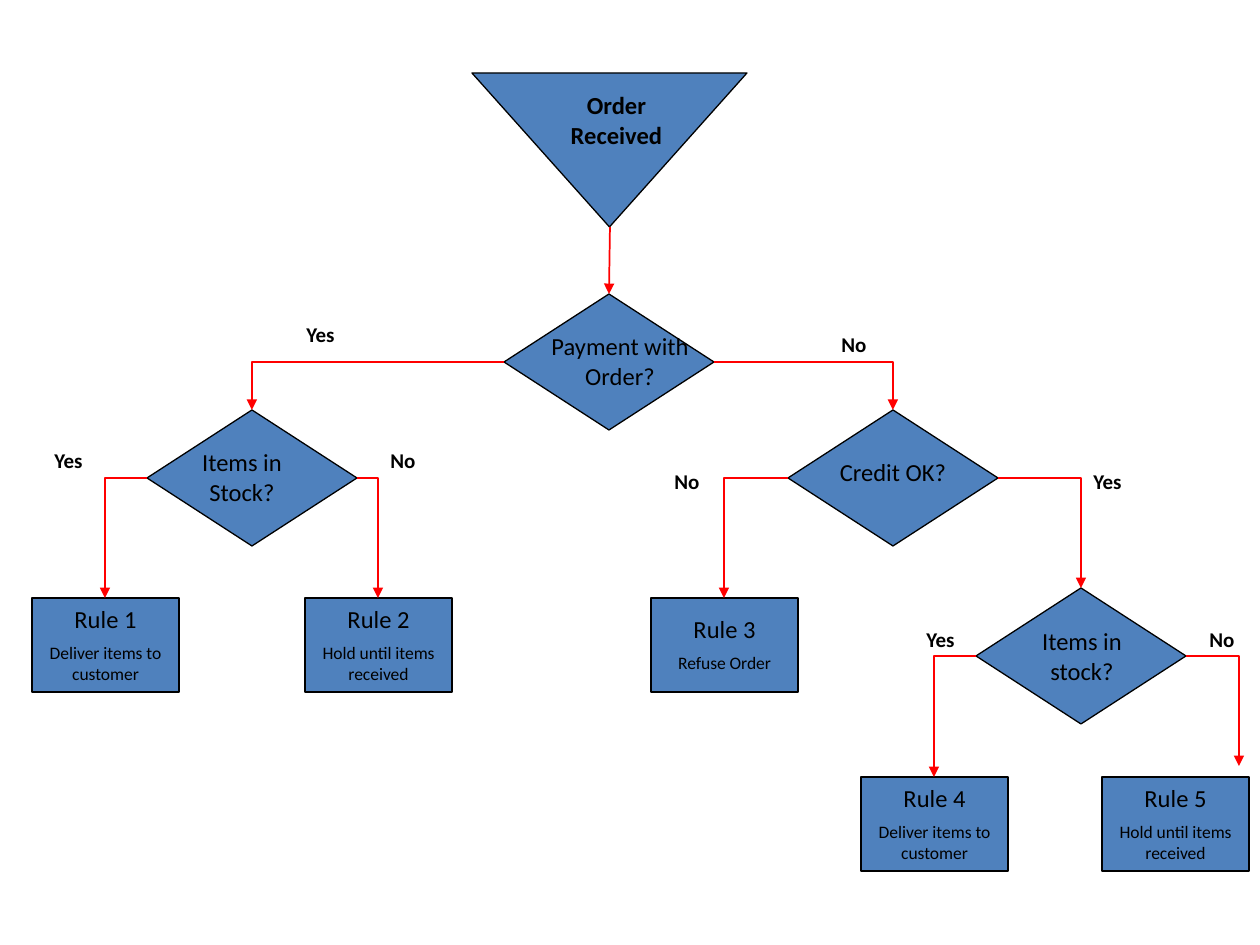
"""Builds a decision-tree slide for handling an incoming order."""
from dataclasses import dataclass

from lxml import etree
from pptx import Presentation
from pptx import util as u
from pptx.dml.color import RGBColor
from pptx.enum import shapes, text
from pptx.oxml import ns

PX_PER_INCH = 126
DIAMOND_W, DIAMOND_H = 210, 136
RULE_W, RULE_H = 147, 94
NODE_TEXT_W, LABEL_W = 168, 63


@dataclass(frozen=True)
class Theme:
    """Colours, font and type sizes of the slide."""
    fill: RGBColor = RGBColor(0x4F, 0x81, 0xBD)
    ink: RGBColor = RGBColor(0, 0, 0)
    arrow: RGBColor = RGBColor(0xFF, 0, 0)
    font: str = "Calibri"
    heading: int = 14
    label: int = 12
    detail: int = 10
    outline: float = 0.75
    arrow_width: float = 1


@dataclass(frozen=True)
class Decision:
    """A diamond with its question."""
    x: int
    y: int
    question: str
    text_x: int
    text_y: int
    text_h: int = 72


@dataclass(frozen=True)
class Rule:
    """An outcome box with its name and action."""
    x: int
    y: int
    name: str
    action: str
    text_dy: int = 0


@dataclass(frozen=True)
class Arrow:
    """An arrow between two points, straight or with one bend."""
    x1: int
    y1: int
    x2: int
    y2: int
    bent: bool = True


@dataclass(frozen=True)
class Label:
    """An answer beside a branch."""
    x: int
    y: int
    answer: str


THEME = Theme()
DECISIONS = [
    Decision(504, 294, "Payment with Order?", 536, 325),
    Decision(788, 410, "Credit OK?", 809, 451, 42),
    Decision(147, 410, "Items in Stock?", 158, 441),
    Decision(976, 588, "Items in stock?", 998, 620),
]
RULES = [
    Rule(32, 598, "Rule 1", "Deliver items to customer"),
    Rule(305, 598, "Rule 2", "Hold until items received"),
    Rule(651, 598, "Rule 3", "Refuse Order", 10),
    Rule(861, 777, "Rule 4", "Deliver items to customer"),
    Rule(1102, 777, "Rule 5", "Hold until items received"),
]
ARROWS = [
    Arrow(610, 227, 609, 294, bent=False),
    Arrow(504, 362, 252, 410),
    Arrow(714, 362, 893, 410),
    Arrow(147, 478, 105, 598),
    Arrow(357, 478, 378, 598),
    Arrow(788, 478, 724, 598),
    Arrow(998, 478, 1081, 588),
    Arrow(976, 656, 934, 777),
    Arrow(1186, 656, 1239, 766),
]
LABELS = [
    Label(294, 315, "Yes"),
    Label(829, 325, "No"),
    Label(42, 441, "Yes"),
    Label(378, 441, "No"),
    Label(662, 462, "No"),
    Label(1081, 462, "Yes"),
    Label(914, 620, "Yes"),
    Label(1197, 620, "No"),
]


def px(n: float) -> u.Emu:
    """Turns picture pixels into EMU."""
    return u.Emu(round(n * 914400 / PX_PER_INCH))


def add_node(s, kind, x: int, y: int, w: int, h: int) -> None:
    """Draws a filled and outlined flowchart shape."""
    sp = s.shapes.add_shape(kind, px(x), px(y), px(w), px(h))
    sp.shadow.inherit = False
    sp.fill.solid()
    sp.fill.fore_color.rgb = THEME.fill
    sp.line.color.rgb = THEME.ink
    sp.line.width = u.Pt(THEME.outline)


def add_text(s, x: float, y: int, w: int, h: int, lines: list[tuple[str, int]],
             bold: bool = False, centred: bool = True) -> None:
    """Writes paragraphs, each with its own size, in a text box."""
    tf = s.shapes.add_textbox(px(x), px(y), px(w), px(h)).text_frame
    tf.word_wrap = True
    for i, (line, size) in enumerate(lines):
        p = tf.add_paragraph() if i else tf.paragraphs[0]
        p.text = line
        p.alignment = text.PP_ALIGN.CENTER if centred else text.PP_ALIGN.LEFT
        p.space_before = u.Pt(size / 2 if i else 0)
        p.font.name = THEME.font
        p.font.size = u.Pt(size)
        p.font.bold = bold
        p.font.color.rgb = THEME.ink


def add_arrow(s, a: Arrow) -> None:
    """Draws an arrow that runs sideways and then down, or straight."""
    kind = shapes.MSO_CONNECTOR.ELBOW if a.bent else shapes.MSO_CONNECTOR.STRAIGHT
    c = s.shapes.add_connector(kind, px(a.x1), px(a.y1), px(a.x2), px(a.y2))
    c.line.color.rgb = THEME.arrow
    c.line.width = u.Pt(THEME.arrow_width)
    sp_pr = c.element.spPr
    if a.bent:
        sp_pr.find(ns.qn("a:prstGeom")).set("prst", "bentConnector2")
    etree.SubElement(c.line._get_or_add_ln(), ns.qn("a:tailEnd"), type="triangle")
    etree.SubElement(sp_pr, ns.qn("a:effectLst"))


def main() -> None:
    """Builds and saves the slide."""
    prs = Presentation()
    prs.slide_width, prs.slide_height = u.Inches(10), u.Inches(7.5)
    s = prs.slides.add_slide(prs.slide_layouts[6])
    kinds = shapes.MSO_SHAPE

    add_node(s, kinds.FLOWCHART_MERGE, 472, 73, 275, 154)
    add_text(s, 535, 84, 163, 72, [("Order Received", THEME.heading)], bold=True)
    for d in DECISIONS:
        add_node(s, kinds.FLOWCHART_DECISION, d.x, d.y, DIAMOND_W, DIAMOND_H)
        add_text(s, d.text_x, d.text_y, NODE_TEXT_W, d.text_h,
                 [(d.question, THEME.heading)])
    for r in RULES:
        add_node(s, kinds.FLOWCHART_PROCESS, r.x, r.y, RULE_W, RULE_H)
        add_text(s, r.x - (NODE_TEXT_W - RULE_W) / 2, r.y + r.text_dy,
                 NODE_TEXT_W, RULE_H - 2 * r.text_dy,
                 [(r.name, THEME.heading), (r.action, THEME.detail)])
    for a in ARROWS:
        add_arrow(s, a)
    for b in LABELS:
        add_text(s, b.x, b.y, LABEL_W, 38, [(b.answer, THEME.label)],
                 bold=True, centred=False)

    prs.save("out.pptx")


main()
